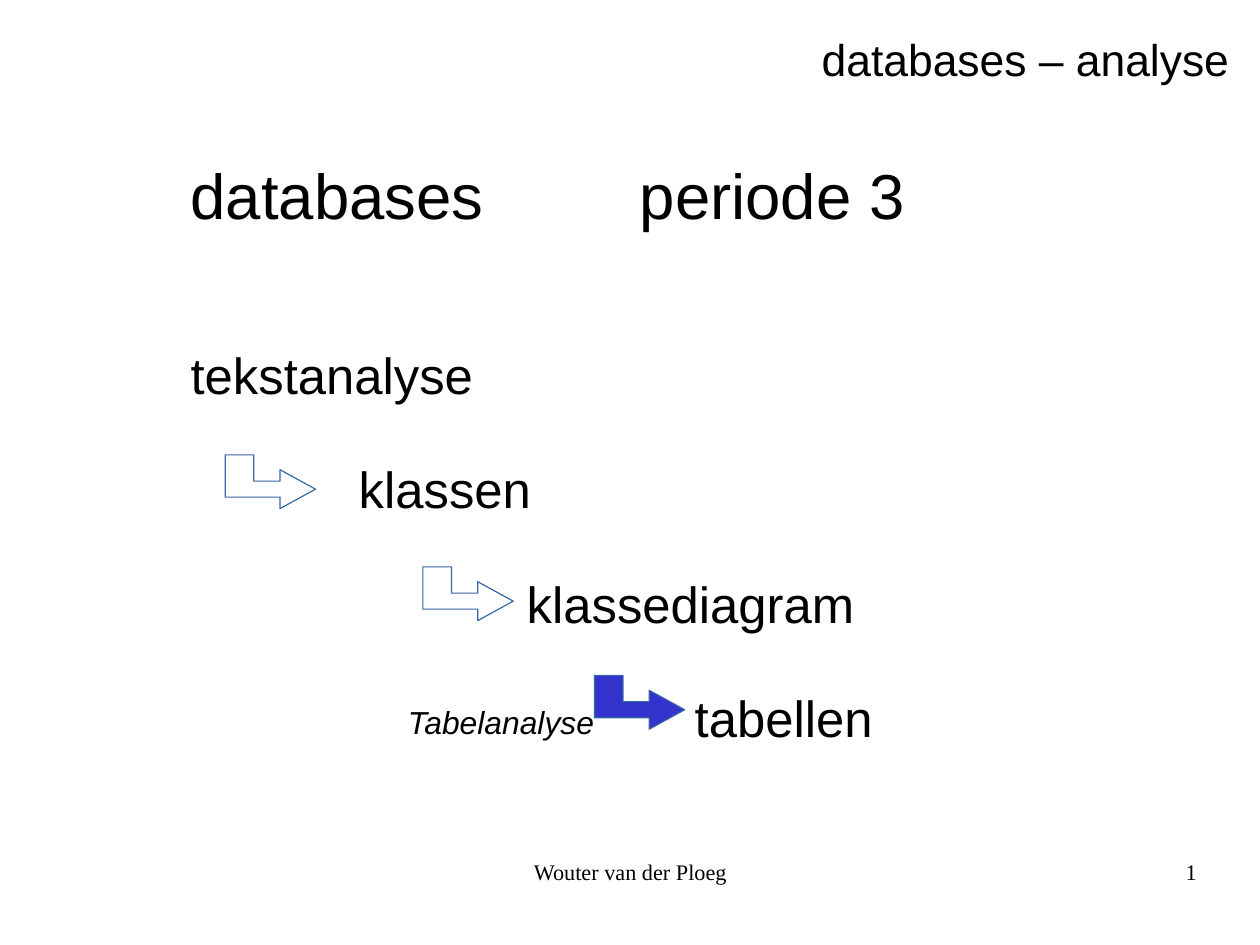
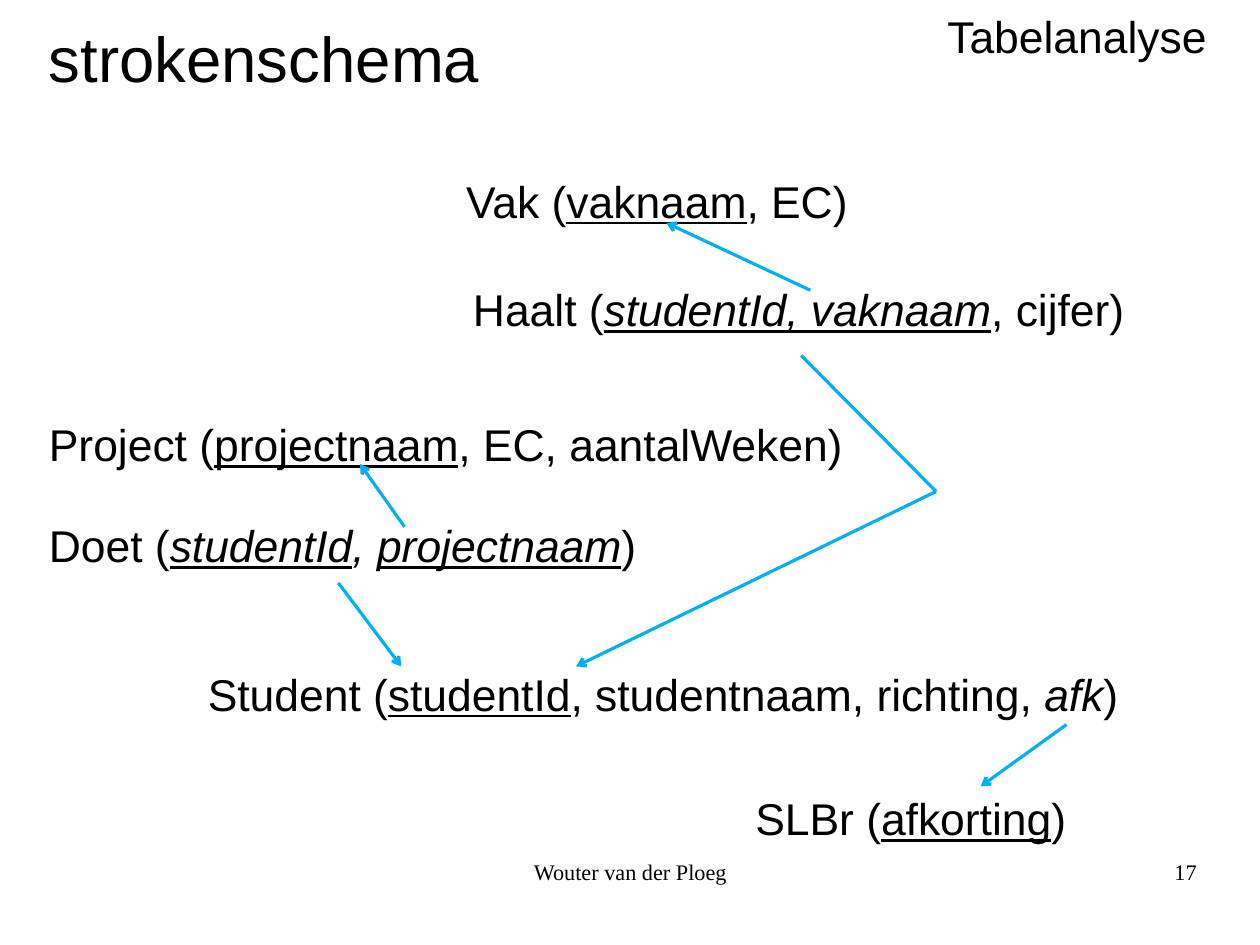
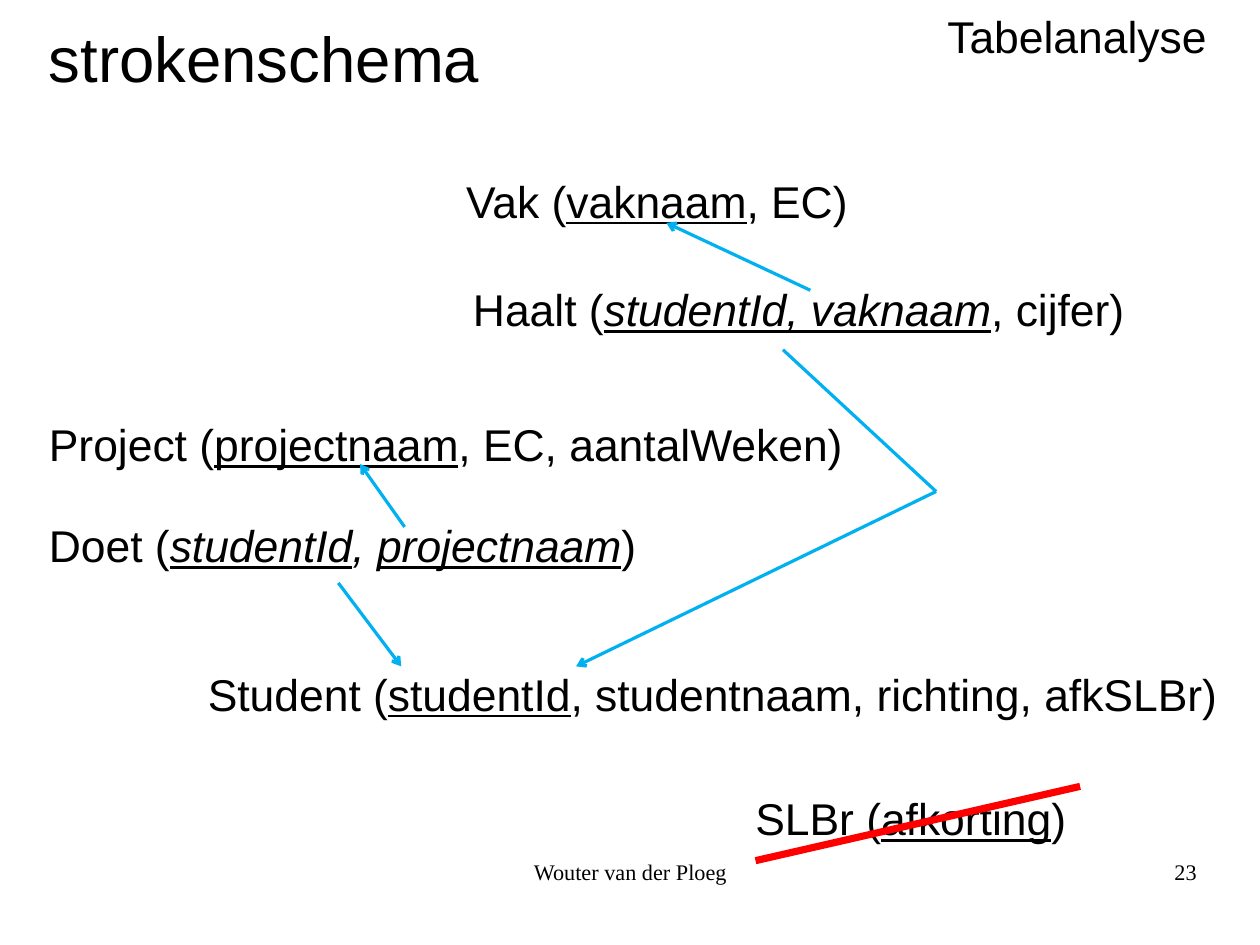
import pptx
import pptx.dml.color
import pptx.enum.shapes
import pptx.enum.text
import pptx.oxml.ns
import pptx.presentation
import pptx.slide
import pptx.util
from dataclasses import dataclass
from typing import NamedTuple
from lxml import etree

Inches = pptx.util.Inches
Pt = pptx.util.Pt
Align = pptx.enum.text.PP_ALIGN
qn = pptx.oxml.ns.qn

COLORS = {
    "text": "000000",
    "paper": "FFFFFF",
    "outline": "3465A4",
    "highlight": "3333CC",
    "reference": "00B0F0",
    "strike": "FF0000",
}
BODY_FONT = "Arial"
FOOTER_FONT = "Times New Roman"
AUTHOR = "Wouter van der Ploeg"


class Run(NamedTuple):
    text: str
    italic: bool = False
    underline: bool = False


@dataclass
class Line:
    """One paragraph of text."""
    runs: list[Run]
    size: float = 28
    font: str = BODY_FONT
    align: Align = Align.LEFT
    before: float = 0
    indent: float = 0
    tab: float = 0
    spacing: float = 0.94


@dataclass
class TextBlock:
    """A text box; pad is (left and right, top) in inches."""
    left: float
    top: float
    width: float
    height: float
    lines: list[Line]
    pad: tuple[float, float] = (0.1, 0.08)


@dataclass
class Link:
    start: tuple[float, float]
    end: tuple[float, float]
    color: str = "reference"
    width: float = 2
    arrow: bool = True


# Shared drawing functions
def rgb(name: str) -> pptx.dml.color.RGBColor:
    return pptx.dml.color.RGBColor.from_string(COLORS[name])


def plain(text: str) -> Run:
    return Run(text)


def key(text: str) -> Run:
    return Run(text, underline=True)


def foreign(text: str) -> Run:
    return Run(text, italic=True)


def foreign_key(text: str) -> Run:
    return Run(text, italic=True, underline=True)


def draw_text(slide: pptx.slide.Slide, block: TextBlock) -> None:
    box = slide.shapes.add_textbox(Inches(block.left), Inches(block.top),
                                   Inches(block.width), Inches(block.height))
    frame = box.text_frame
    frame.word_wrap = True
    side, top = block.pad
    frame.margin_left = frame.margin_right = Inches(side)
    frame.margin_top = Inches(top)
    frame.margin_bottom = 0
    for index, line in enumerate(block.lines):
        paragraph = frame.add_paragraph() if index else frame.paragraphs[0]
        paragraph.alignment = line.align
        paragraph.line_spacing = line.spacing
        if line.before:
            paragraph.space_before = Pt(line.before)
        properties = paragraph._p.get_or_add_pPr()
        if line.indent:
            properties.set("marL", str(Inches(line.indent)))
            properties.set("indent", "0")
        if line.tab:
            stops = etree.SubElement(properties, qn("a:tabLst"))
            etree.SubElement(stops, qn("a:tab"), pos=str(Inches(line.tab)), algn="l")
        paragraph.font.name = line.font
        paragraph.font.size = Pt(line.size)
        paragraph.font.color.rgb = rgb("text")
        for part in line.runs:
            run = paragraph.add_run()
            run.text = part.text
            if part.italic:
                run.font.italic = True
            if part.underline:
                run.font.underline = True


def draw_link(slide: pptx.slide.Slide, link: Link) -> None:
    connector = slide.shapes.add_connector(
        pptx.enum.shapes.MSO_CONNECTOR.STRAIGHT,
        *(Inches(value) for value in link.start + link.end))
    connector.line.color.rgb = rgb(link.color)
    connector.line.width = Pt(link.width)
    properties = connector._element.spPr
    if link.arrow:
        etree.SubElement(properties.find(qn("a:ln")), qn("a:tailEnd"), type="arrow")
    etree.SubElement(properties, qn("a:effectLst"))


def draw_step_arrow(slide: pptx.slide.Slide, left: float, top: float, fill: str) -> None:
    outline = [(0, 0), (0, 0.37), (0.48, 0.37), (0.48, 0.47), (0.79, 0.3),
               (0.48, 0.13), (0.48, 0.23), (0.25, 0.23), (0.25, 0)]
    points = [(Inches(left + x), Inches(top + y)) for x, y in outline]
    builder = slide.shapes.build_freeform(*points[0])
    builder.add_line_segments(points[1:], close=True)
    arrow = builder.convert_to_shape()
    arrow.shadow.inherit = False
    arrow.fill.solid()
    arrow.fill.fore_color.rgb = rgb(fill)
    arrow.line.color.rgb = rgb("outline")
    arrow.line.width = Pt(0.75)


def add_slide(deck: pptx.presentation.Presentation, number: int) -> pptx.slide.Slide:
    """Blank slide with the shared footer."""
    slide = deck.slides.add_slide(deck.slide_layouts[6])
    for left, width, text, align in ((3.77, 3.49, AUTHOR, Align.CENTER),
                                     (7.9, 2.57, str(number), Align.RIGHT)):
        line = Line([plain(text)], 14, FOOTER_FONT, align, spacing=0.93)
        draw_text(slide, TextBlock(left, 7.53, width, 0.57, [line], (0, 0)))
    return slide


# Overview of the course steps
def add_overview(deck: pptx.presentation.Presentation) -> None:
    slide = add_slide(deck, 1)
    draw_text(slide, TextBlock(7.09, 0.25, 3.85, 0.53,
                               [Line([plain("databases – analyse")])], (0.1, 0.07)))
    steps = [Line([plain(name)], 32, before=36, indent=1.47 * level)
             for level, name in enumerate(
                 ["tekstanalyse", "klassen", "klassediagram", "tabellen"])]
    steps[0].before = 72
    heading = Line([plain("databases\tperiode 3")], 40, tab=3.93)
    draw_text(slide, TextBlock(1.57, 1.34, 7, 5.21, [heading, *steps]))
    for left, top, fill in ((1.97, 3.98, "paper"), (3.7, 4.96, "paper"),
                            (5.2, 5.91, "highlight")):
        draw_step_arrow(slide, left, top, fill)
    draw_text(slide, TextBlock(3.47, 6.11, 1.89, 0.53,
                               [Line([foreign("Tabelanalyse")], 20)], (0.1, 0.07)))


# Relational schema with its references
def add_schema(deck: pptx.presentation.Presentation, number: int,
               student_end: list[Run], haalt_start: tuple[float, float],
               slbr_link: Link) -> None:
    slide = add_slide(deck, number)
    project = Line([plain("Project ("), key("projectnaam"), plain(", EC, aantalWeken)")])
    doet = Line([plain("Doet ("), foreign_key("studentId"), foreign(", "),
                 foreign_key("projectnaam"), plain(")")], before=32)
    vak = Line([plain("Vak ("), key("vaknaam"), plain(", EC)")])
    haalt = Line([plain("Haalt ("), foreign_key("studentId, vaknaam"), plain(", cijfer)")])
    student = Line([plain("Student ("), key("studentId"),
                    plain(", studentnaam, richting, "), *student_end])
    slbr = Line([plain("SLBr ("), key("afkorting"), plain(")")])
    for block in (
        TextBlock(0.33, 0.14, 4.2, 0.74, [Line([plain("strokenschema")], 40)]),
        TextBlock(8.19, 0.05, 2.6, 0.54, [Line([plain("Tabelanalyse")])], (0.1, 0.07)),
        TextBlock(3.98, 1.48, 5.35, 0.6, [vak]),
        TextBlock(4.04, 2.46, 6.1, 0.54, [haalt], (0.1, 0.05)),
        TextBlock(0.33, 3.61, 8, 1.5, [project, doet]),
        TextBlock(1.72, 5.79, 9.3, 0.6, [student]),
        TextBlock(6.51, 6.88, 3.34, 0.6, [slbr]),
    ):
        draw_text(slide, block)

    bend = (8.19, 4.3)
    for link in (
        Link((3.54, 4.61), (3.15, 4.06)),
        Link((2.96, 5.1), (3.51, 5.83)),
        Link((7.09, 2.54), (5.83, 1.95)),
        Link(haalt_start, bend, arrow=False),
        Link(bend, (5.04, 5.83)),
        slbr_link,
    ):
        draw_link(slide, link)


def main() -> None:
    deck = pptx.Presentation()
    # 28 by 21 cm page
    deck.slide_width = pptx.util.Cm(28)
    deck.slide_height = pptx.util.Cm(21)
    add_overview(deck)
    add_schema(deck, 17, [foreign("afk"), plain(")")], (7.01, 3.11),
               Link((9.33, 6.34), (8.58, 6.88)))
    add_schema(deck, 23, [plain("afkSLBr)")], (6.85, 3.06),
               Link((6.61, 7.53), (9.45, 6.88), "strike", 4.5, arrow=False))
    deck.save("out.pptx")


if __name__ == "__main__":
    main()
